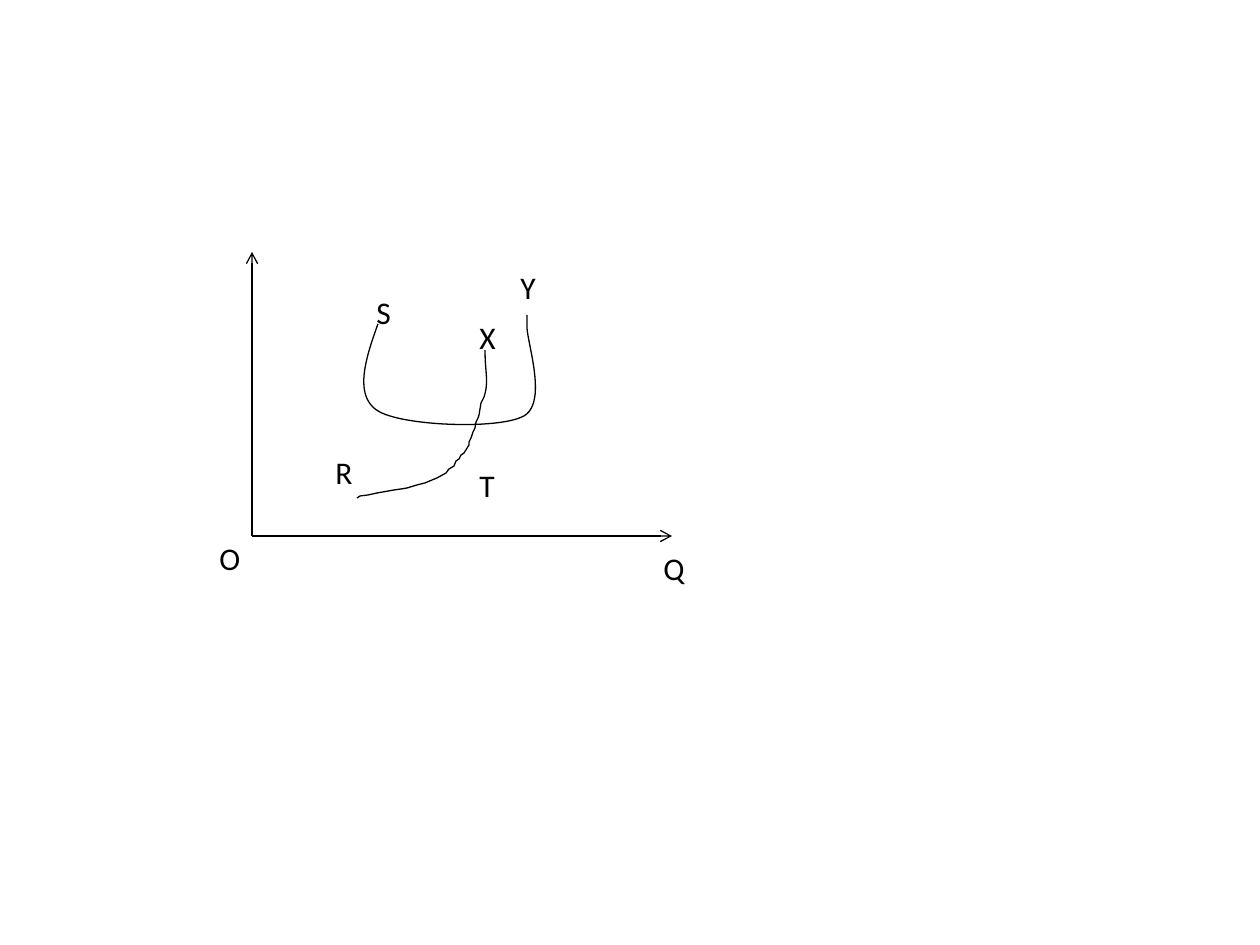
from lxml import etree
from pptx import Presentation
from pptx.dml.color import RGBColor
from pptx.enum.shapes import MSO_CONNECTOR
from pptx.enum.text import MSO_AUTO_SIZE
from pptx.oxml.ns import qn
from pptx.util import Pt

STRAIGHT = MSO_CONNECTOR.STRAIGHT
GROW = MSO_AUTO_SIZE.SHAPE_TO_FIT_TEXT
PX = 914400 / 126
STEPS = 24


def emu(px):
    return round(px * PX)


def color(value):
    return RGBColor.from_string(value)


def bezier(a, b, c, d):
    points = []
    for i in range(STEPS + 1):
        t = i / STEPS
        u = 1 - t
        weights = (u**3, 3 * u * u * t, 3 * u * t * t, t**3)
        points.append(tuple(sum(w * p[k] for w, p in zip(weights, (a, b, c, d))) for k in (0, 1)))
    return points


class Diagram:
    ink = "000000"
    line_width = Pt(0.75)
    font = {"name": "Calibri", "size": Pt(18)}

    def __init__(self, slide):
        self.slide = slide

    def stroke(self, s):
        s.line.color.rgb = color(self.ink)
        s.line.width = self.line_width

    def axis(self, x1, y1, x2, y2):
        s = self.slide.shapes.add_connector(STRAIGHT, emu(x1), emu(y1), emu(x2), emu(y2))
        self.stroke(s)
        sp_pr = s._element.spPr
        etree.SubElement(sp_pr.find(qn("a:ln")), qn("a:tailEnd"), type="arrow")
        etree.SubElement(sp_pr, qn("a:effectLst"))

    def curve(self, points):
        start, *rest = [(emu(x), emu(y)) for x, y in points]
        builder = self.slide.shapes.build_freeform(*start)
        builder.add_line_segments(rest, close=False)
        s = builder.convert_to_shape()
        s.shadow.inherit = False
        s.fill.background()
        self.stroke(s)

    def label(self, text, x, y, width):
        s = self.slide.shapes.add_textbox(emu(x), emu(y), emu(width), emu(50))
        tf = s.text_frame
        tf.word_wrap = False
        tf.auto_size = GROW
        r = tf.paragraphs[0].add_run()
        r.text = text
        for name, value in self.font.items():
            setattr(r.font, name, value)
        r.font.color.rgb = color(self.ink)


def main():
    prs = Presentation()
    prs.slide_width, prs.slide_height = emu(1260), emu(945)
    diagram = Diagram(prs.slides.add_slide(prs.slide_layouts[6]))

    diagram.axis(252, 536, 252, 252)
    diagram.axis(252, 536, 672, 536)

    u_curve = (
        bezier((378, 324), (365, 360), (354, 396), (378, 411))
        + bezier((378, 411), (402, 426), (499, 430), (524, 416))
        + bezier((524, 416), (548, 402), (527, 343), (527, 326))
        + [(527, 315)]
    )
    diagram.curve(u_curve)

    rising_curve = bezier((485, 350), (485, 372), (489, 382), (484, 397)) + [
        (481, 403), (479, 415), (478, 418), (476, 422), (475, 428), (473, 432),
        (471, 438), (469, 442), (469, 445), (464, 453), (461, 455), (459, 459),
        (456, 461), (454, 466), (449, 469), (446, 473), (437, 478), (432, 480),
        (425, 483), (417, 485), (407, 488), (401, 489), (394, 490), (377, 493),
        (368, 495), (360, 496), (357, 498),
    ]
    diagram.curve(rising_curve)

    labels = [
        ("S", 364, 287, 40), ("X", 467, 312, 42), ("Y", 508, 262, 40),
        ("R", 323, 447, 43), ("O", 207, 533, 47), ("Q", 651, 543, 47),
        ("T", 467, 460, 40),
    ]
    for label in labels:
        diagram.label(*label)

    prs.save("out.pptx")


if __name__ == "__main__":
    main()
